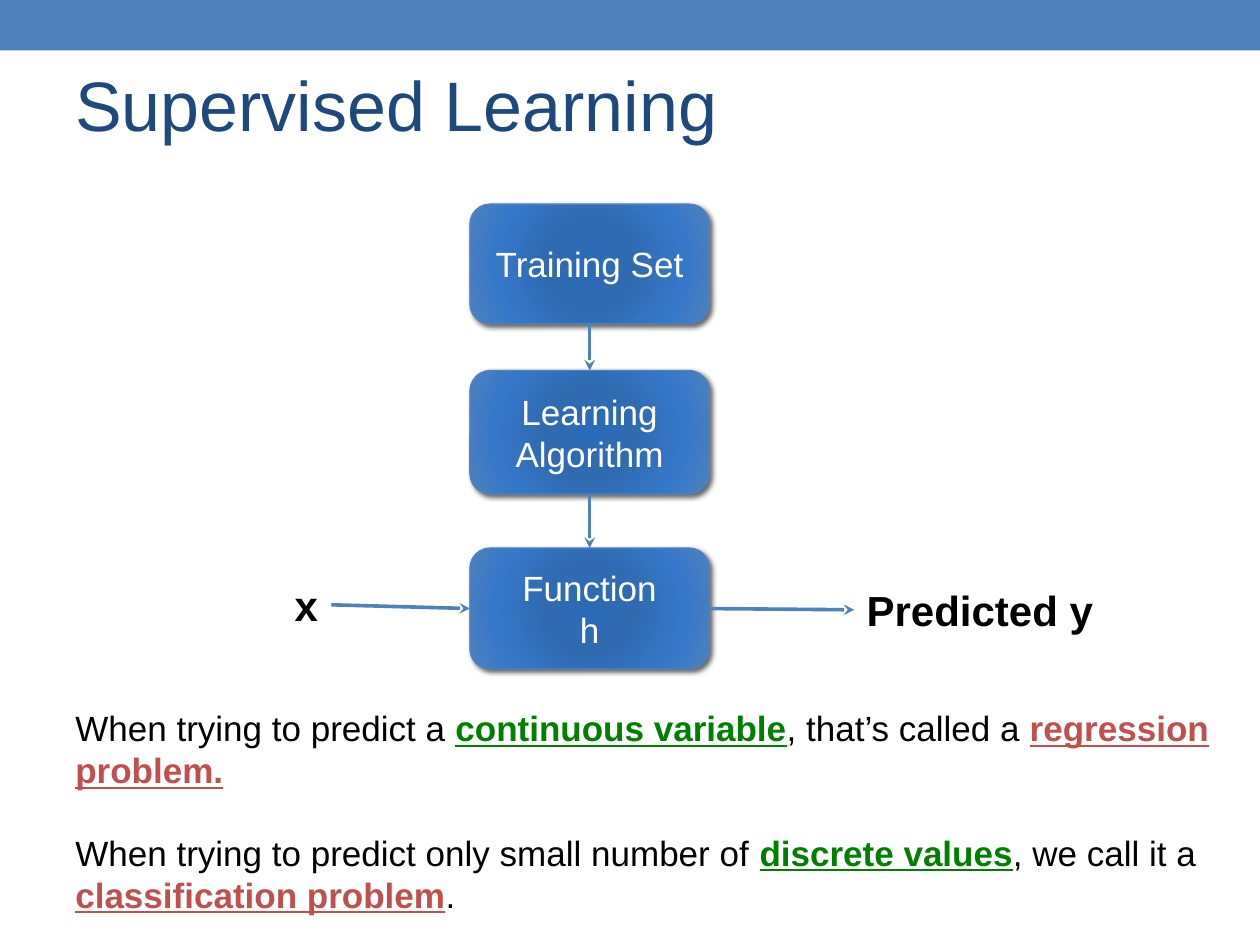
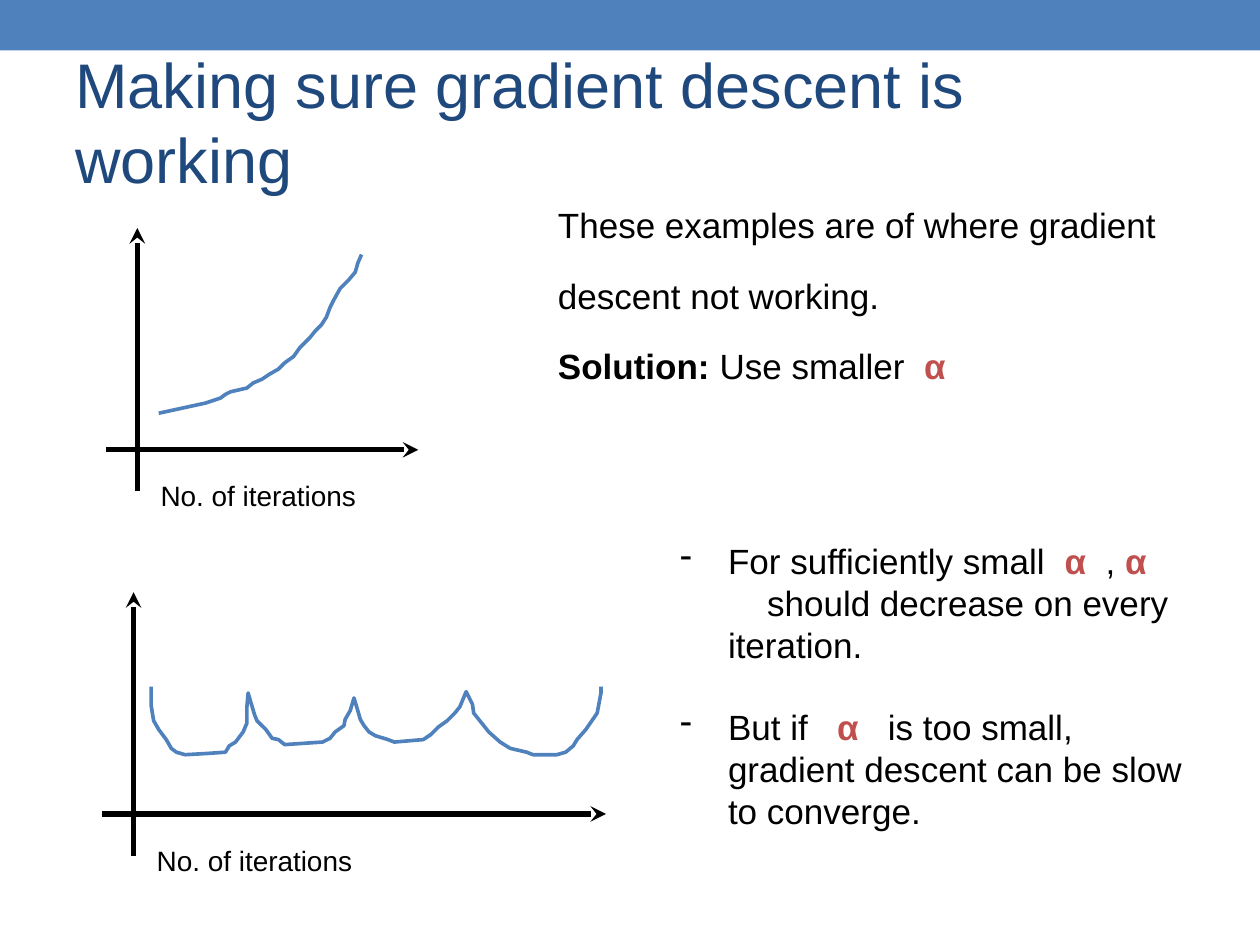
"""Build two machine learning slides: supervised learning and gradient descent checks."""
from dataclasses import dataclass

from lxml.etree import SubElement
from pptx import Presentation
from pptx.dml.color import RGBColor
from pptx.enum.shapes import MSO_CONNECTOR, MSO_SHAPE
from pptx.enum.text import MSO_ANCHOR, PP_ALIGN
from pptx.oxml import parse_xml
from pptx.oxml.ns import nsdecls, qn
from pptx.util import Inches, Pt


@dataclass(frozen=True)
class Theme:
    font: str = "Arial"
    accent: str = "4F81BD"
    heading: str = "1F497D"
    ink: str = "000000"
    paper: str = "FFFFFF"
    green: str = "008000"
    red: str = "C0504D"
    glow: tuple = ((0, "2B6AB7"), (34, "306BB2"), (70, "3577C9"), (100, "4F81BD"))
    body: int = 20
    label: int = 16
    variable: int = 24
    thin: float = 2.08
    thick: float = 3
    blank_line: int = 23


THEME = Theme()
RUN_STYLES = {
    "plain": {},
    "bold": {"bold": True},
    "term": {"bold": True, "underline": True, "color": THEME.green},
    "problem": {"bold": True, "underline": True, "color": THEME.red},
    "symbol": {"bold": True, "color": THEME.red},
    "gap": {"spacing": 5.56},
    "wide gap": {"spacing": 11.12},
}
ALPHA = ("α", "symbol")
GAP = (" ", "gap")
WIDE_GAP = (" ", "wide gap")

SUPERVISED_TITLE = ("Supervised Learning", 0.28, 40)
STAGE_LEFT, STAGE_WIDTH = 3.73, 1.9
STAGES = [
    (["Training Set"], 1.62, 0.95, 0.1),
    (["Learning Algorithm"], 2.94, 0.98, 0.1),
    (["Function", "h"], 4.35, 0.96, 0),
]
VARIABLES = [("x", (2.24, 4.55, 0.39, 0.5)), ("Predicted y", (6.78, 4.59, 2.03, 0.5))]
INPUT_ARROW = ((2.63, 4.8), (3.73, 4.83))
OUTPUT_ARROW = ((5.63, 4.83), (6.78, 4.84))
PROBLEM_KINDS = [
    [("When trying to predict a ", "plain"), ("continuous variable", "term"),
     (", that’s called a ", "plain"), ("regression problem.", "problem")],
    [("When trying to predict only small number of ", "plain"), ("discrete values", "term"),
     (", we call it a ", "plain"), ("classification problem", "problem"), (".", "plain")],
]

DESCENT_TITLE = ("Making sure gradient descent is working", 0.42, 36)
SOLUTION = [
    [("These examples are of where gradient descent not working.", "plain")],
    [("Solution: ", "bold"), ("Use smaller", "plain"), GAP, ALPHA],
]
ADVICE = [
    ([("For sufficiently small", "plain"), GAP, ALPHA, GAP, (", ", "plain"), ALPHA], True),
    ([("should decrease on every iteration.", "plain")], False),
    ([("But if", "plain"), WIDE_GAP, ALPHA, WIDE_GAP,
      ("is too small, gradient descent can be slow to converge.", "plain")], True),
]
AXIS_LABEL = "No. of iterations"
PLOTS = [
    {"origin": (1.09, 3.57), "reach": 2.23, "curve": [
        (1.26, 3.28), (1.49, 3.23), (1.63, 3.2), (1.75, 3.16), (1.79, 3.13), (1.83, 3.11),
        (1.96, 3.08), (2.01, 3.04), (2.08, 3.01), (2.14, 2.97), (2.21, 2.93), (2.26, 2.88),
        (2.33, 2.83), (2.38, 2.76), (2.46, 2.68), (2.5, 2.63), (2.55, 2.58), (2.59, 2.52),
        (2.62, 2.44), (2.65, 2.38), (2.7, 2.29), (2.77, 2.22), (2.82, 2.16), (2.84, 2.09),
        (2.87, 2.02)]},
    {"origin": (1.06, 6.46), "reach": 3.75, "curve": [
        (1.2, 5.45), (1.2, 5.6), (1.22, 5.72), (1.26, 5.79), (1.32, 5.87), (1.36, 5.94),
        (1.4, 5.97), (1.47, 5.99), (1.65, 5.98), (1.79, 5.97), (1.82, 5.92), (1.87, 5.89),
        (1.93, 5.81), (1.96, 5.74), (1.96, 5.61), (1.97, 5.5), (1.99, 5.57), (2.02, 5.67),
        (2.04, 5.72), (2.11, 5.79), (2.16, 5.86), (2.21, 5.87), (2.26, 5.91), (2.56, 5.89),
        (2.62, 5.86), (2.66, 5.81), (2.73, 5.76), (2.74, 5.71), (2.78, 5.64), (2.81, 5.54),
        (2.84, 5.64), (2.86, 5.71), (2.89, 5.76), (2.93, 5.81), (2.98, 5.84), (3.08, 5.87),
        (3.13, 5.89), (3.36, 5.87), (3.42, 5.83), (3.48, 5.77), (3.55, 5.72), (3.61, 5.66),
        (3.65, 5.61), (3.7, 5.49), (3.75, 5.59), (3.76, 5.66), (3.88, 5.81), (3.97, 5.89),
        (4.05, 5.94), (4.18, 5.97), (4.23, 5.99), (4.42, 5.99), (4.49, 5.97), (4.55, 5.92),
        (4.58, 5.87), (4.65, 5.79), (4.74, 5.66), (4.77, 5.5), (4.77, 5.45)]},
]


def rgb(color):
    return RGBColor.from_string(color)


def write(frame, paragraphs, size, color=THEME.ink, align=PP_ALIGN.LEFT,
          anchor=MSO_ANCHOR.TOP, bold=False, inset=0.1):
    frame.word_wrap = True
    frame.vertical_anchor = anchor
    frame.margin_left = frame.margin_right = Inches(inset)
    frame.margin_top = frame.margin_bottom = Inches(inset / 2)
    for index, runs in enumerate(paragraphs):
        paragraph = frame.add_paragraph() if index else frame.paragraphs[0]
        paragraph.alignment = align
        paragraph.font.name = THEME.font
        paragraph.font.size = Pt(size)
        paragraph.font.bold = bold
        paragraph.font.color.rgb = rgb(color)
        for words, style_name in runs:
            style = RUN_STYLES[style_name]
            run = paragraph.add_run()
            run.text = words
            if "bold" in style:
                run.font.bold = True
            if "underline" in style:
                run.font.underline = True
            if "color" in style:
                run.font.color.rgb = rgb(style["color"])
            if "spacing" in style:
                run.font._element.set("spc", str(round(style["spacing"] * 100)))
    return frame.paragraphs


def plain(*lines):
    return [[(line, "plain")] for line in lines]


def add_text(slide, box, paragraphs, size, **options):
    area = slide.shapes.add_textbox(*map(Inches, box))
    return write(area.text_frame, paragraphs, size, **options)


def start_slide(deck, title):
    words, top, size = title
    slide = deck.slides.add_slide(deck.slide_layouts[6])
    band = slide.shapes.add_shape(MSO_SHAPE.RECTANGLE, 0, 0, deck.slide_width, Inches(0.4))
    band.shadow.inherit = False
    band.fill.solid()
    band.fill.fore_color.rgb = rgb(THEME.accent)
    band.line.fill.background()
    add_text(slide, (0.5, top, 9, 1.08), plain(words), size,
             color=THEME.heading, anchor=MSO_ANCHOR.MIDDLE)
    return slide


def add_arrow(slide, start, end, color=THEME.accent, width=THEME.thin):
    arrow = slide.shapes.add_connector(MSO_CONNECTOR.STRAIGHT, *map(Inches, start + end))
    arrow.line.color.rgb = rgb(color)
    arrow.line.width = Pt(width)
    properties = arrow._element.spPr
    SubElement(properties.find(qn("a:ln")), qn("a:tailEnd"), type="stealth")
    SubElement(properties, qn("a:effectLst"))


def add_stage(slide, lines, top, height, inset):
    stage = slide.shapes.add_shape(
        MSO_SHAPE.ROUNDED_RECTANGLE, *map(Inches, (STAGE_LEFT, top, STAGE_WIDTH, height)))
    stage.line.color.rgb = rgb(THEME.accent)
    stage.line.width = Pt(0.75)
    stage.shadow.inherit = False
    properties = stage._element.spPr
    stops = "".join(f'<a:gs pos="{place * 1000}"><a:srgbClr val="{color}"/></a:gs>'
                    for place, color in THEME.glow)
    properties.insert(2, parse_xml(
        f'<a:gradFill {nsdecls("a")}><a:gsLst>{stops}</a:gsLst><a:path path="circle">'
        '<a:fillToRect l="50000" t="50000" r="50000" b="50000"/></a:path></a:gradFill>'))
    properties.find(qn("a:effectLst")).append(parse_xml(
        f'<a:outerShdw {nsdecls("a")} blurRad="{Pt(3)}" dist="{Pt(2)}" dir="2700000" '
        f'rotWithShape="0"><a:srgbClr val="{THEME.ink}"><a:alpha val="60000"/></a:srgbClr>'
        '</a:outerShdw>'))
    write(stage.text_frame, plain(*lines), THEME.body, color=THEME.paper,
          align=PP_ALIGN.CENTER, anchor=MSO_ANCHOR.MIDDLE, inset=inset)


def add_plot(slide, origin, reach, curve):
    x, y = origin
    add_arrow(slide, (x, y + 0.33), (x, y - 1.76), THEME.ink, THEME.thick)
    add_arrow(slide, (x - 0.25, y), (x + reach, y), THEME.ink, THEME.thick)
    label, = add_text(slide, (x - 0.1, y - 0.11, 2.12, 0.54), plain(AXIS_LABEL),
                      THEME.label, align=PP_ALIGN.CENTER)
    label.line_spacing = 2.1
    points = [(Inches(px), Inches(py)) for px, py in curve]
    outline = slide.shapes.build_freeform(*points[0])
    outline.add_line_segments(points[1:], close=False)
    cost = outline.convert_to_shape()
    cost.shadow.inherit = False
    cost.fill.background()
    cost.line.color.rgb = rgb(THEME.accent)
    cost.line.width = Pt(THEME.thin)


def build_supervised(deck):
    slide = start_slide(deck, SUPERVISED_TITLE)
    for stage in STAGES:
        add_stage(slide, *stage)
    center = STAGE_LEFT + STAGE_WIDTH / 2
    for (_, top, height, _), (_, next_top, _, _) in zip(STAGES, STAGES[1:]):
        add_arrow(slide, (center, top + height), (center, next_top))
    for arrow in (INPUT_ARROW, OUTPUT_ARROW):
        add_arrow(slide, *arrow)
    for name, box in VARIABLES:
        add_text(slide, box, plain(name), THEME.variable, bold=True)
    kinds = add_text(slide, (0.5, 5.56, 9.5, 1.78), PROBLEM_KINDS, THEME.body)
    kinds[1].space_before = Pt(THEME.blank_line)


def build_descent(deck):
    slide = start_slide(deck, DESCENT_TITLE)
    for paragraph in add_text(slide, (4.33, 1.34, 5, 1.49), SOLUTION, THEME.body):
        paragraph.line_spacing = 1.68
    for plot in PLOTS:
        add_plot(slide, **plot)
    advice = add_text(slide, (5.3, 4.23, 4.37, 2.46), [runs for runs, _ in ADVICE], THEME.body)
    for paragraph, (_, bulleted) in zip(advice, ADVICE):
        properties = paragraph._p.get_or_add_pPr()
        properties.set("marL", str(Inches(0.38)))
        properties.set("indent", str(Inches(-0.38 if bulleted else 0.31)))
        if bulleted:
            properties.insert(0, parse_xml(f'<a:buChar {nsdecls("a")} char="-"/>'))
    advice[-1].space_before = Pt(THEME.blank_line)


def main():
    deck = Presentation()
    deck.slide_width, deck.slide_height = Inches(10), Inches(7.5)
    build_supervised(deck)
    build_descent(deck)
    deck.save("out.pptx")


if __name__ == "__main__":
    main()
